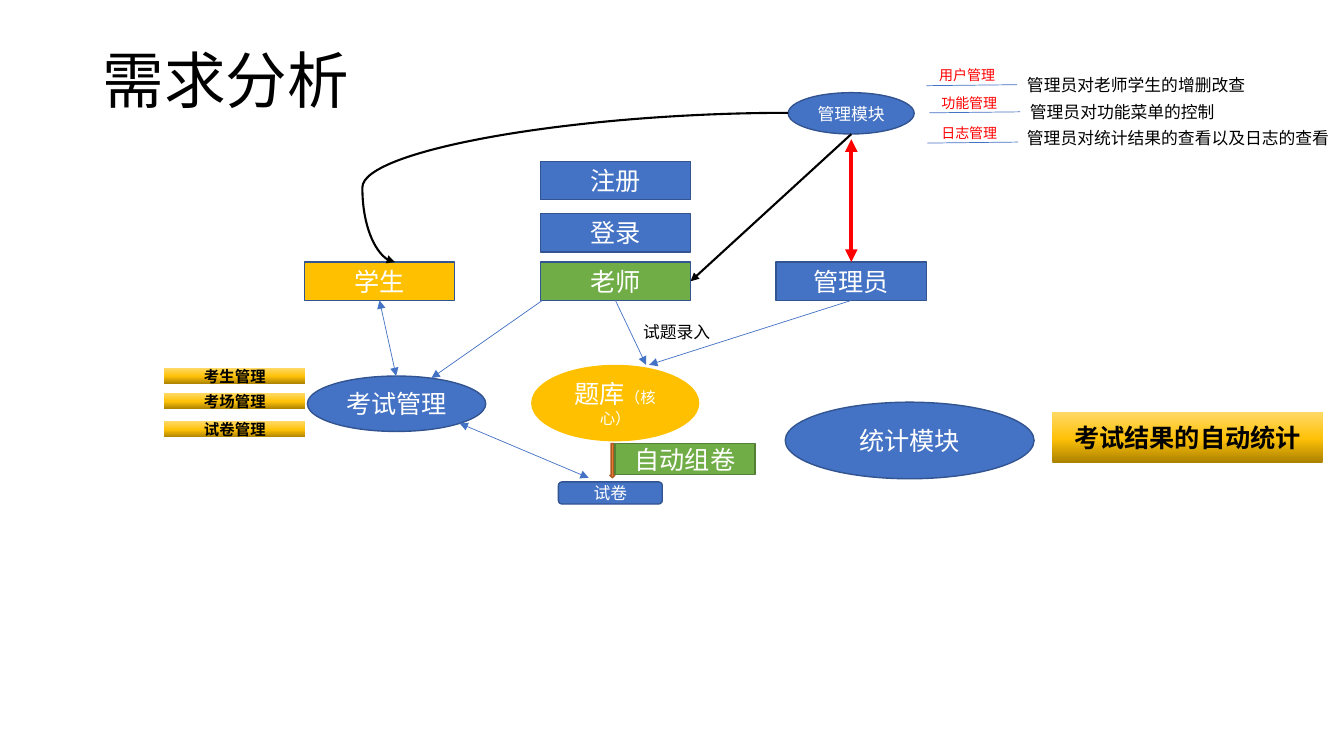
from copy import deepcopy
from dataclasses import dataclass

from lxml.etree import SubElement
from pptx import Presentation
from pptx.dml.color import RGBColor
from pptx.enum.shapes import MSO_CONNECTOR, MSO_SHAPE
from pptx.enum.text import MSO_ANCHOR, PP_ALIGN
from pptx.oxml.ns import qn
from pptx.util import Pt


@dataclass(frozen=True)
class Theme:
    font: str = "Noto Sans CJK SC"
    black: str = "000000"
    white: str = "FFFFFF"
    red: str = "FF0000"
    blue: str = "4472C4"
    navy: str = "325491"
    gold: str = "FFC000"
    green: str = "70AD47"
    forest: str = "538035"
    orange: str = "ED7D31"
    rust: str = "AF5C24"
    gold_stops: tuple = ((0, "AB8100"), (0.48, "FFC208"), (1, "FFD966"))
    title: int = 44
    node: int = 18
    body: int = 12
    note: int = 11
    label: int = 10


theme = Theme()


def write(frame, text, size=theme.node, color=theme.white, bold=False,
          align=PP_ALIGN.CENTER, anchor=MSO_ANCHOR.MIDDLE, wrap=True):
    frame.word_wrap = wrap
    frame.vertical_anchor = anchor
    paragraph = frame.paragraphs[0]
    paragraph.alignment = align
    run = paragraph.add_run()
    run.text = text
    run.font.size = Pt(size)
    run.font.bold = bold
    run.font.color.rgb = RGBColor.from_string(color)
    run.font.name = theme.font
    SubElement(run.font._element, qn("a:ea"), typeface=theme.font)


def link(start, end, color=theme.blue, width=0.5, arrows=("tailEnd",),
         kind=MSO_CONNECTOR.STRAIGHT):
    connector = slide.shapes.add_connector(kind, *map(Pt, start + end))
    connector.line.color.rgb = RGBColor.from_string(color)
    connector.line.width = Pt(width)
    properties = connector._element.spPr
    for arrow in arrows:
        SubElement(properties.find(qn("a:ln")), qn("a:" + arrow), type="triangle")
    SubElement(properties, qn("a:effectLst"))
    return connector


deck = Presentation()
deck.slide_width, deck.slide_height = Pt(960), Pt(540)
slide = deck.slides.add_slide(deck.slide_layouts[5])

heading = slide.shapes.title
heading.left, heading.top, heading.width, heading.height = map(Pt, (66, 7.2, 828, 104.4))
write(heading.text_frame, "需求分析", size=theme.title, color=theme.black, align=PP_ALIGN.LEFT)
heading.text_frame.paragraphs[0].line_spacing = 0.9

RECT, OVAL = MSO_SHAPE.RECTANGLE, MSO_SHAPE.OVAL
role_size = (107.4, 27.4)
student_x, teacher_x, admin_x = [217.4 + 168.5 * column for column in range(3)]
role_y = 187.2
nodes = {}
for name, kind, box, fill, outline, size in [
    ("注册", RECT, (teacher_x, 115.2, *role_size), theme.blue, theme.navy, theme.node),
    ("登录", RECT, (teacher_x, 152.6, *role_size), theme.blue, theme.navy, theme.node),
    ("学生", RECT, (student_x, role_y, *role_size), theme.gold, theme.navy, theme.node),
    ("老师", RECT, (teacher_x, role_y, *role_size), theme.green, theme.navy, theme.node),
    ("管理员", RECT, (admin_x, role_y, *role_size), theme.blue, theme.navy, theme.node),
    ("题库", OVAL, (379.4, 260.6, 120.2, 54.7), theme.gold, None, theme.node),
    ("试卷", MSO_SHAPE.ROUNDED_RECTANGLE, (398.9, 344.2, 74.2, 15.8),
     theme.blue, theme.navy, theme.body),
    ("管理模块", OVAL, (563, 66.2, 90, 29.5), theme.blue, theme.navy, theme.body),
    ("考试管理", OVAL, (219.6, 268.6, 127.4, 39.6), theme.blue, theme.navy, theme.node),
    ("统计模块", OVAL, (560.9, 287.3, 177.8, 54.7), theme.blue, theme.navy, theme.node),
    ("", MSO_SHAPE.DOWN_ARROW, (435.6, 316.8, 3.6, 24.5), theme.orange, theme.rust, theme.node),
    ("自动组卷", RECT, (439.2, 316.8, 100.1, 22.3), theme.green, theme.forest, theme.node),
]:
    node = nodes[name] = slide.shapes.add_shape(kind, *map(Pt, box))
    node.shadow.inherit = False
    node.fill.solid()
    node.fill.fore_color.rgb = RGBColor.from_string(fill)
    if outline:
        node.line.color.rgb = RGBColor.from_string(outline)
        node.line.width = Pt(1)
    else:
        node.line.fill.background()
    if name:
        write(node.text_frame, name, size=size)
write(nodes["题库"].text_frame, "（核心）", size=theme.note)

for name, box, size in [
    ("考生管理", (117.4, 262.8, 100.8, 11.5), theme.note),
    ("考场管理", (117.4, 280.8, 100.8, 11.5), theme.note),
    ("试卷管理", (117.4, 301, 100.8, 11.5), theme.note),
    ("考试结果的自动统计", (751.7, 294.5, 193, 36), theme.node),
]:
    feature = slide.shapes.add_shape(RECT, *map(Pt, box))
    feature.shadow.inherit = False
    feature.line.fill.background()
    feature.fill.gradient()
    feature.fill.gradient_angle = 90
    stop_list = feature._element.spPr.find(qn("a:gradFill")).find(qn("a:gsLst"))
    stop_list.append(deepcopy(stop_list[0]))
    for stop, (position, color) in zip(feature.fill.gradient_stops, theme.gold_stops):
        stop.position = position
        stop.color.rgb = RGBColor.from_string(color)
    write(feature.text_frame, name, size=size, color=theme.black, bold=True)

both_ends = ("headEnd", "tailEnd")
teacher_entry = link((439.6, 214.6), (461.5, 260.6))
teacher_entry.begin_connect(nodes["老师"], 2)
admin_entry = link((608.1, 214.6), (463.7, 260.6))
admin_entry.begin_connect(nodes["管理员"], 2)
admin_control = link((608.1, 99.4), (608.1, role_y), theme.red, 3, both_ends)
admin_control.end_connect(nodes["管理员"], 0)
teacher_control = link((608.1, 95.8), (493.3, 200.9), theme.black, 1.5)
teacher_control.end_connect(nodes["老师"], 3)
student_exam = link((271.1, 214.6), (283, 268.6), arrows=both_ends)
student_exam.begin_connect(nodes["学生"], 2)
link((387.4, 214.6), (308.2, 270))
link((328.3, 302.4), (420.5, 341.3), arrows=both_ends)

student_control = link((563, 80.6), (282.2, role_y), theme.black, 1.5, kind=MSO_CONNECTOR.CURVE)
bend = student_control._element.spPr.find(qn("a:prstGeom")).find(qn("a:avLst"))
SubElement(bend, qn("a:gd"), name="adj1", fmla="val 108300")

captions = [("试题录入", (452.2, 226.1, 63.4, 21.6), theme.body, theme.black, False)]
for duty, duty_at, detail, detail_at, detail_width, rule_at in [
    ("用户管理", (663.8, 43.9), "管理员对老师学生的增删改查", (726.5, 49.7), 223.9, (661.7, 61.2)),
    ("功能管理", (665.3, 64.1), "管理员对功能菜单的控制", (728.6, 69.1), 223.9, (663.8, 80.6)),
    ("日志管理", (665.3, 85.7), "管理员对统计结果的查看以及日志的查看", (726.5, 87.8), 244.8, (662.4, 102.2)),
]:
    link(rule_at, (rule_at[0] + 64.8, rule_at[1] - 0.7), arrows=())
    captions += [
        (duty, (*duty_at, 56.2, 19.4), theme.label, theme.red, True),
        (detail, (*detail_at, detail_width, 21.6), theme.body, theme.black, True),
    ]
for text, box, size, color, wrap in captions:
    caption = slide.shapes.add_textbox(*map(Pt, box))
    write(caption.text_frame, text, size=size, color=color, align=PP_ALIGN.LEFT,
          anchor=MSO_ANCHOR.TOP, wrap=wrap)

deck.save("out.pptx")
